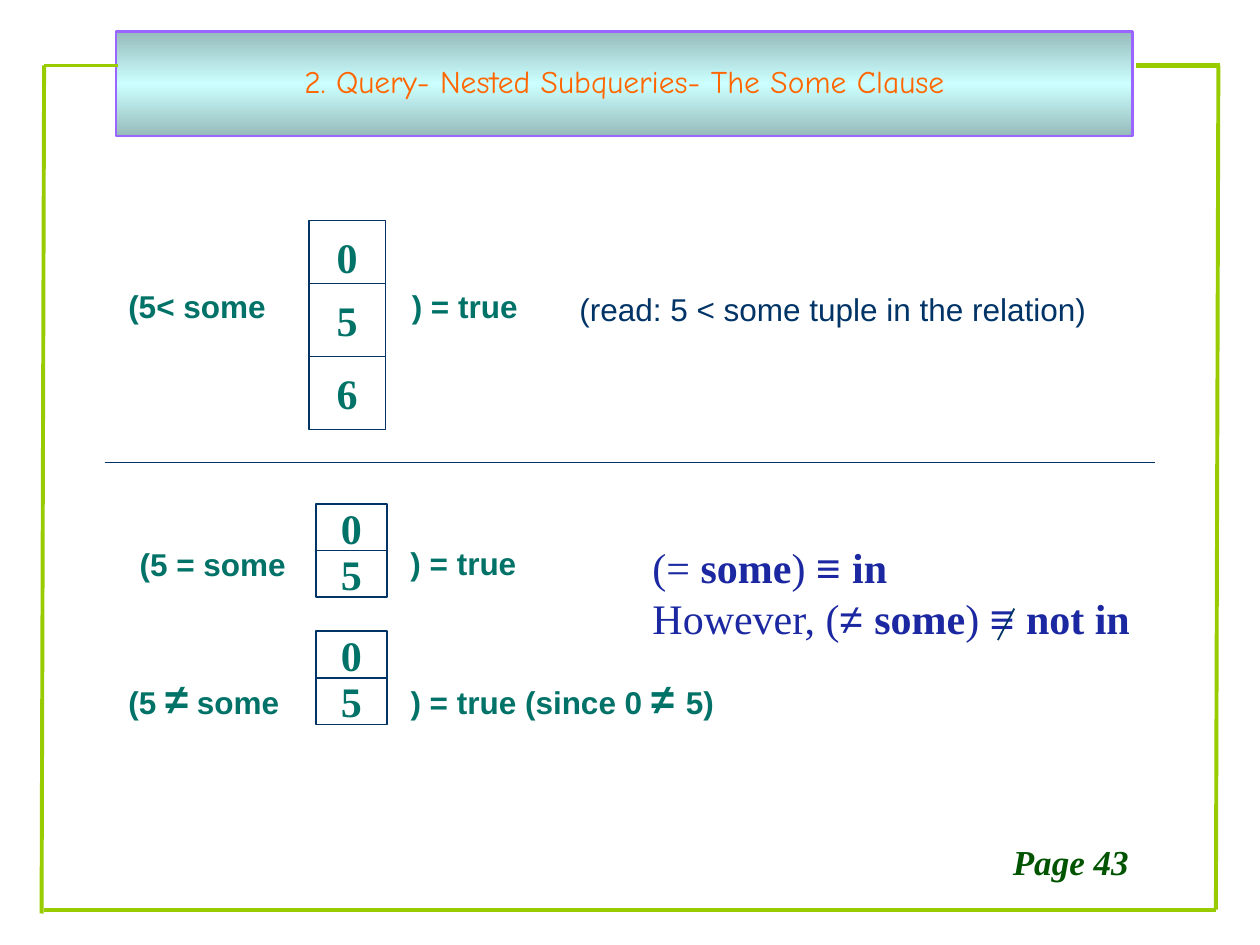
from copy import deepcopy

from pptx import Presentation
from pptx.dml.color import RGBColor
from pptx.enum.shapes import MSO_CONNECTOR, MSO_SHAPE
from pptx.enum.text import MSO_ANCHOR, MSO_AUTO_SIZE, PP_ALIGN
from pptx.oxml.ns import qn
from pptx.util import Inches, Pt

COLORS = {
    "frame": "99CC00", "title": "FF6600", "title_edge": "9966FF",
    "band_dark": "96BBBB", "band_light": "CCFFFF", "page": "005400",
    "navy": "003366", "teal": "007267", "blue": "1B28A1", "white": "FFFFFF",
}
SANS, SERIF, HAND = "Arial", "Times New Roman", "Comic Neue"

# Content: a run is (text, size, font, bold)
TITLE = "2. Query- Nested Subqueries- The Some Clause"
TITLE_BOX = (0.92, 0.25, 8.07, 0.83)
PAGE = "Page 43"


def small(text):
    return (text, 18, SANS, True)


def big(text):
    return (text, 24, SANS, True)


def plain(text):
    return (text, 24, SERIF, False)


def strong(text):
    return (text, 24, SERIF, True)


def symbol(text):
    return (text, 24, SANS, False)


# Text boxes: (left, top, width, height), colour, paragraphs of runs
NOTES = [
    ((4.5, 2.25, 4.5, 0.4), "navy",
     [[("(read: 5 < some tuple in the relation)", 18, SANS, False)]]),
    ((0.92, 2.23, 1.64, 0.4), "teal", [[small("(5< some")]]),
    ((3.17, 2.23, 1.23, 0.4), "teal", [[small(") = true")]]),
    ((1.01, 4.28, 1.87, 0.4), "teal", [[small("(5 = some")]]),
    ((3.16, 4.27, 1.5, 0.4), "teal", [[small(") = true")]]),
    ((0.92, 5.29, 1.78, 0.5), "teal",
     [[small("(5 "), big("≠"), small(" some")]]),
    ((3.16, 5.29, 3.09, 0.5), "teal",
     [[small(") = true (since 0 "), big("≠ "), small("5)")]]),
    ((5.08, 4.25, 4.33, 0.92), "blue", [
        [plain("(= "), strong("some"), plain(") "), symbol("≡ "), strong("in")],
        [plain("However, ("), symbol("≠ "), strong("some"), plain(") "),
         symbol("≡ "), strong("not in")],
    ]),
]

# Relations: left, top, cell width, cell height, row step of each value
RELATIONS = [
    (2.45, 1.75, 0.61, 0.58, [("0", 0.5), ("5", 0.58), ("6", 0.58)]),
    (2.51, 4.0, 0.56, 0.37, [("0", 0.37), ("5", 0.37)]),
    (2.51, 5.01, 0.56, 0.37, [("0", 0.37), ("5", 0.37)]),
]

# Lines: start, end, colour, width
FRAME = [
    ((0.94, 0.52), (0.35, 0.52), "frame", 2.25),
    ((0.35, 0.52), (0.33, 7.25), "frame", 2.25),
    ((9.02, 0.52), (9.68, 0.52), "frame", 3),
    ((9.67, 0.52), (9.65, 7.22), "frame", 2.25),
    ((0.35, 7.22), (9.65, 7.22), "frame", 2.25),
]
DIVIDER = ((0.83, 3.67), (9.17, 3.67), "navy", 0.75)
NOT_STROKE = ((8.05, 4.83), (7.92, 5.08), "navy", 1)


def rgb(name):
    return RGBColor.from_string(COLORS[name])


def add_run(paragraph, text, size, font, bold, color, italic=False):
    run = paragraph.add_run()
    run.text = text
    run.font.size, run.font.name = Pt(size), font
    run.font.bold, run.font.italic = bold, italic
    run.font.color.rgb = rgb(color)


def add_line(slide, start, end, color, width):
    line = slide.shapes.add_connector(
        MSO_CONNECTOR.STRAIGHT, *map(Inches, start + end))
    line.line.color.rgb = rgb(color)
    line.line.width = Pt(width)
    properties = line._element.spPr
    properties.append(properties.makeelement(qn("a:effectLst"), {}))


def add_note(slide, box, color, paragraphs, italic=False):
    frame = slide.shapes.add_textbox(*map(Inches, box)).text_frame
    frame.word_wrap = True
    for index, runs in enumerate(paragraphs):
        paragraph = frame.add_paragraph() if index else frame.paragraphs[0]
        for run in runs:
            add_run(paragraph, *run, color, italic)
    return frame


def add_relation(slide, left, top, width, height, rows):
    for value, step in rows:
        cell = slide.shapes.add_shape(
            MSO_SHAPE.RECTANGLE, *map(Inches, (left, top, width, height)))
        cell.shadow.inherit = False
        cell.fill.solid()
        cell.fill.fore_color.rgb = rgb("white")
        cell.line.color.rgb = rgb("navy")
        cell.line.width = Pt(1)
        frame = cell.text_frame
        frame.word_wrap = False
        frame.vertical_anchor = MSO_ANCHOR.MIDDLE
        frame.paragraphs[0].alignment = PP_ALIGN.CENTER
        add_run(frame.paragraphs[0], *strong(value), "teal")
        top += step


def format_title(title):
    title.left, title.top, title.width, title.height = map(Inches, TITLE_BOX)
    title.line.color.rgb = rgb("title_edge")
    title.line.width = Pt(1.5)
    # Vertical band, light in the middle
    title.fill.gradient()
    title.fill.gradient_angle = 90
    stops = title._element.spPr.find(".//" + qn("a:gsLst"))
    stops.insert(1, deepcopy(stops[0]))
    shades = ("band_dark", "band_light", "band_dark")
    for index, (stop, shade) in enumerate(zip(title.fill.gradient_stops, shades)):
        stop.position = index / 2
        stop.color.rgb = rgb(shade)
    frame = title.text_frame
    frame.auto_size = MSO_AUTO_SIZE.NONE
    frame.vertical_anchor = MSO_ANCHOR.MIDDLE
    heading = frame.paragraphs[0]
    heading.alignment = PP_ALIGN.CENTER
    heading.line_spacing = 0.85
    add_run(heading, TITLE, 18, HAND, False, "title")


def main():
    deck = Presentation()
    deck.slide_width, deck.slide_height = Inches(10), Inches(7.5)
    slide = deck.slides.add_slide(deck.slide_layouts[5])

    # Border, title and page number
    for line in FRAME:
        add_line(slide, *line)
    format_title(slide.shapes.title)
    page = add_note(slide, (7.94, 6.66, 2.05, 0.4), "page",
                    [[(PAGE, 20, SERIF, True)]], italic=True)
    page.paragraphs[0].line_spacing = 0.9

    # Comparisons with their relations
    for relation in RELATIONS:
        add_relation(slide, *relation)
    for note in NOTES:
        add_note(slide, *note)
    add_line(slide, *NOT_STROKE)
    add_line(slide, *DIVIDER)

    deck.save("out.pptx")


if __name__ == "__main__":
    main()
